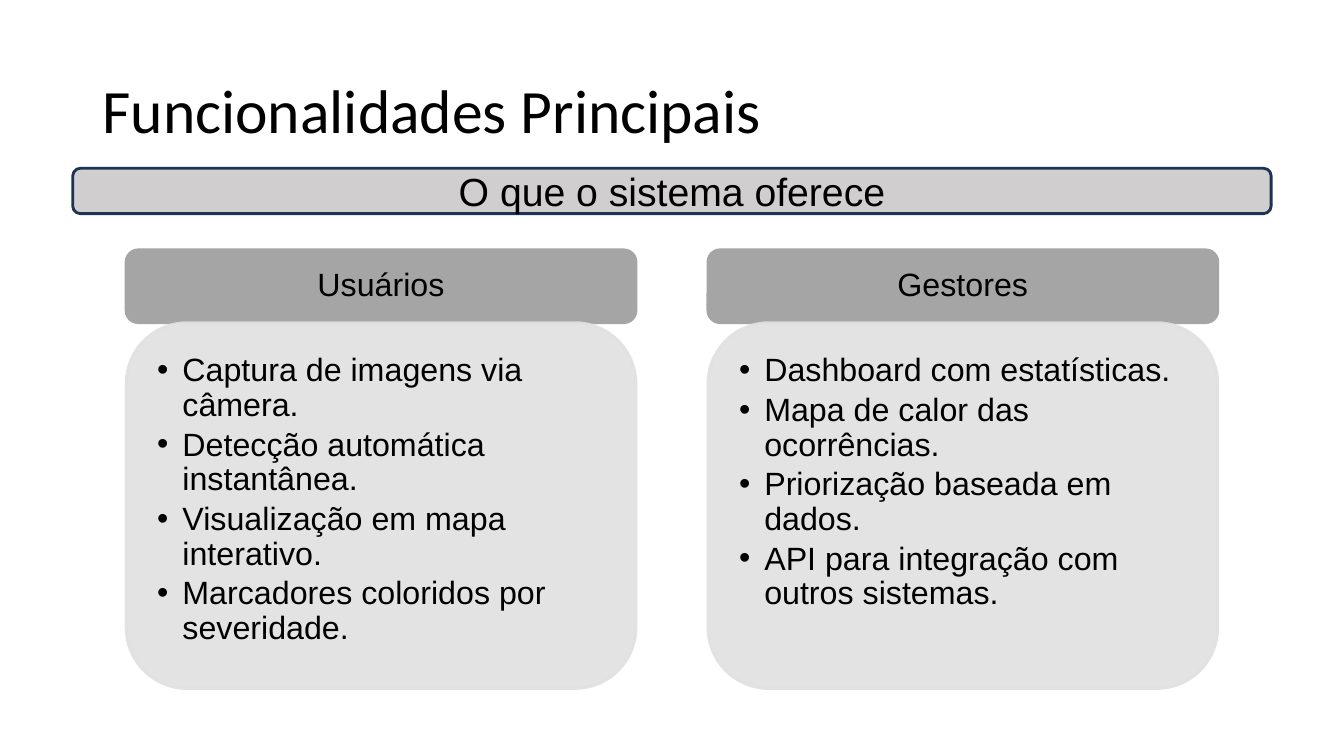
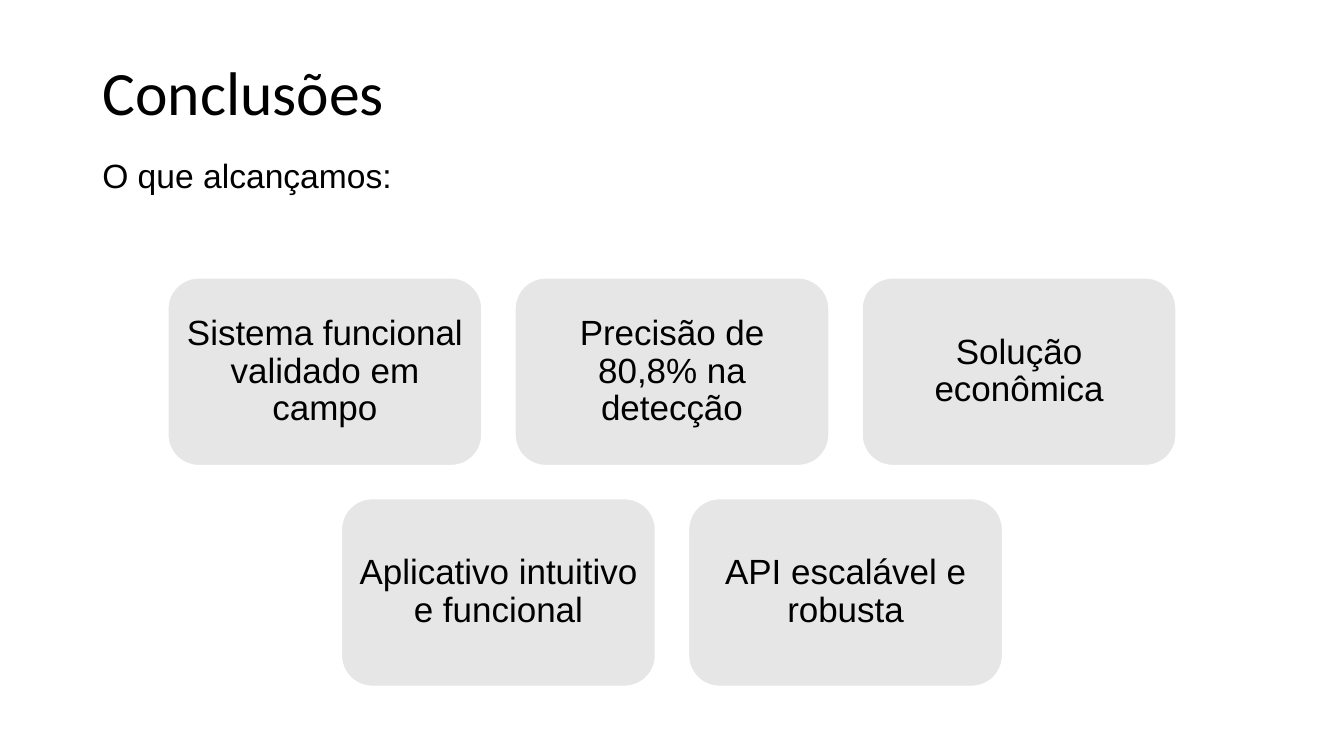
from lxml import etree
from pptx import Presentation
from pptx.dml.color import RGBColor
from pptx.enum.shapes import MSO_SHAPE
from pptx.enum.text import MSO_ANCHOR, MSO_AUTO_SIZE, PP_ALIGN
from pptx.oxml.ns import qn
from pptx.util import Pt

ROUND = MSO_SHAPE.ROUNDED_RECTANGLE
TOP, MIDDLE = MSO_ANCHOR.TOP, MSO_ANCHOR.MIDDLE
LEFT, CENTER = PP_ALIGN.LEFT, PP_ALIGN.CENTER
NO_FIT = MSO_AUTO_SIZE.NONE

COLORS = {
    "text": "000000",
    "band": "D0CECE",
    "edge": "1E3256",
    "head": "A5A5A5",
    "panel": "E1E1E1",
    "card": "E7E6E6",
    "white": "FFFFFF",
}
WIDTH, HEIGHT = 960, 540
TITLE_ONLY, TWO_LISTS = 5, 3

GROUPS = [
    ("Usuários", [
        "Captura de imagens via câmera.",
        "Detecção automática instantânea.",
        "Visualização em mapa interativo.",
        "Marcadores coloridos por severidade.",
    ]),
    ("Gestores", [
        "Dashboard com estatísticas.",
        "Mapa de calor das ocorrências.",
        "Priorização baseada em dados.",
        "API para integração com outros sistemas.",
    ]),
]
RESULTS = [
    ["Sistema funcional validado em campo", "Precisão de 80,8% na detecção", "Solução econômica"],
    ["Aplicativo intuitivo e funcional", "API escalável e robusta"],
]


def color(name):
    return RGBColor.from_string(COLORS[name])


def place(shape, x, y, w, h):
    shape.left, shape.top, shape.width, shape.height = Pt(x), Pt(y), Pt(w), Pt(h)


def style(par, size, font="Arial", align=CENTER, space=0.9):
    par.alignment = align
    par.line_spacing = space
    par.space_before = Pt(0)
    for run in par.runs:
        run.font.size = Pt(size)
        run.font.name = font
        run.font.color.rgb = color("text")


def set_frame(frame, insets, anchor=MIDDLE):
    frame.word_wrap = True
    frame.auto_size = NO_FIT
    frame.vertical_anchor = anchor
    (frame.margin_left, frame.margin_top,
     frame.margin_right, frame.margin_bottom) = [Pt(inset) for inset in insets]


def fade(shape, percent):
    for tint in shape._element.spPr.iter(qn("a:srgbClr")):
        etree.SubElement(tint, qn("a:alpha")).set("val", str(percent * 1000))


def add_box(slide, box, fill, line):
    shape = slide.shapes.add_shape(ROUND, *map(Pt, box))
    shape.shadow.inherit = False
    shape.fill.solid()
    shape.fill.fore_color.rgb = color(fill)
    shape.line.color.rgb = color(line)
    shape.line.width = Pt(2)
    return shape


def add_label(slide, box, text, size, fill, line, inset=6, space=0.9):
    frame = add_box(slide, box, fill, line).text_frame
    frame.text = text
    set_frame(frame, [inset] * 4)
    style(frame.paragraphs[0], size, space=space)


def add_title(slide, text, y):
    title = slide.shapes.title
    place(title, 66, y, 828, 104.4)
    title.text_frame.text = text
    set_frame(title.text_frame, (7.2, 3.6, 7.2, 3.6))
    style(title.text_frame.paragraphs[0], 44, "Calibri", LEFT)


def fill_list(body, items):
    frame = body.text_frame
    frame.text = "\n".join(items)
    set_frame(frame, (9.4, 9.4, 13, 14), TOP)
    for par in frame.paragraphs:
        props = par._p.get_or_add_pPr()
        props.set("marL", str(Pt(18)))
        props.set("indent", str(-Pt(18)))
        etree.SubElement(props, qn("a:buFont")).set("typeface", "Arial")
        etree.SubElement(props, qn("a:buChar")).set("char", "•")
        style(par, 23, align=LEFT)
        par.space_after = Pt(3.5)


def add_group(slide, body, box, name, items):
    x, y, w, h = box
    head = 52
    add_label(slide, (x, y, w, head), name, 23, "head", "head")
    panel = add_box(slide, (x, y + head, w, h - head), "panel", "panel")
    fade(panel, 90)
    pad = 12.8
    place(body, x + pad, y + head + pad, w - 2 * pad, h - head - 2 * pad)
    panel._element.addnext(body._element)
    fill_list(body, items)


def add_cards(slide, box, rows):
    x, y, w, h = box
    gap = 22.6
    wide = (w - 2 * gap) / 3
    high = (h - gap) / len(rows)
    for i, row in enumerate(rows):
        start = x + (w - len(row) * wide - (len(row) - 1) * gap) / 2
        for j, text in enumerate(row):
            spot = (start + j * (wide + gap), y + i * (high + gap), wide, high)
            add_label(slide, spot, text, 25, "card", "white")


def build_features(deck):
    slide = deck.slides.add_slide(deck.slide_layouts[TWO_LISTS])
    add_title(slide, "Funcionalidades Principais", 28.8)
    wide, gap = 364.2, 51.4
    left = (WIDTH - 2 * wide - gap) / 2
    bodies = list(slide.placeholders)[1:]
    for i, (body, (name, items)) in enumerate(zip(bodies, GROUPS)):
        add_group(slide, body, (left + i * (wide + gap), 178.5, wide, 313.3), name, items)
    add_label(slide, (52, 120.2, 856, 32.4), "O que o sistema oferece",
              28, "band", "edge", 0, 1)


def build_results(deck):
    slide = deck.slides.add_slide(deck.slide_layouts[TITLE_ONLY])
    add_title(slide, "Conclusões", 15.8)
    add_cards(slide, (119.4, 198, 721.2, 292.8), RESULTS)
    note = slide.shapes.add_textbox(Pt(66), Pt(107.3), Pt(705), Pt(36))
    note.text_frame.text = "O que alcançamos:"
    set_frame(note.text_frame, (7.2, 3.6, 7.2, 3.6), TOP)
    style(note.text_frame.paragraphs[0], 24, align=LEFT, space=1)


def main():
    """Build the slides and save the deck."""
    deck = Presentation()
    deck.slide_width, deck.slide_height = Pt(WIDTH), Pt(HEIGHT)
    build_features(deck)
    build_results(deck)
    deck.save("out.pptx")


if __name__ == "__main__":
    main()
